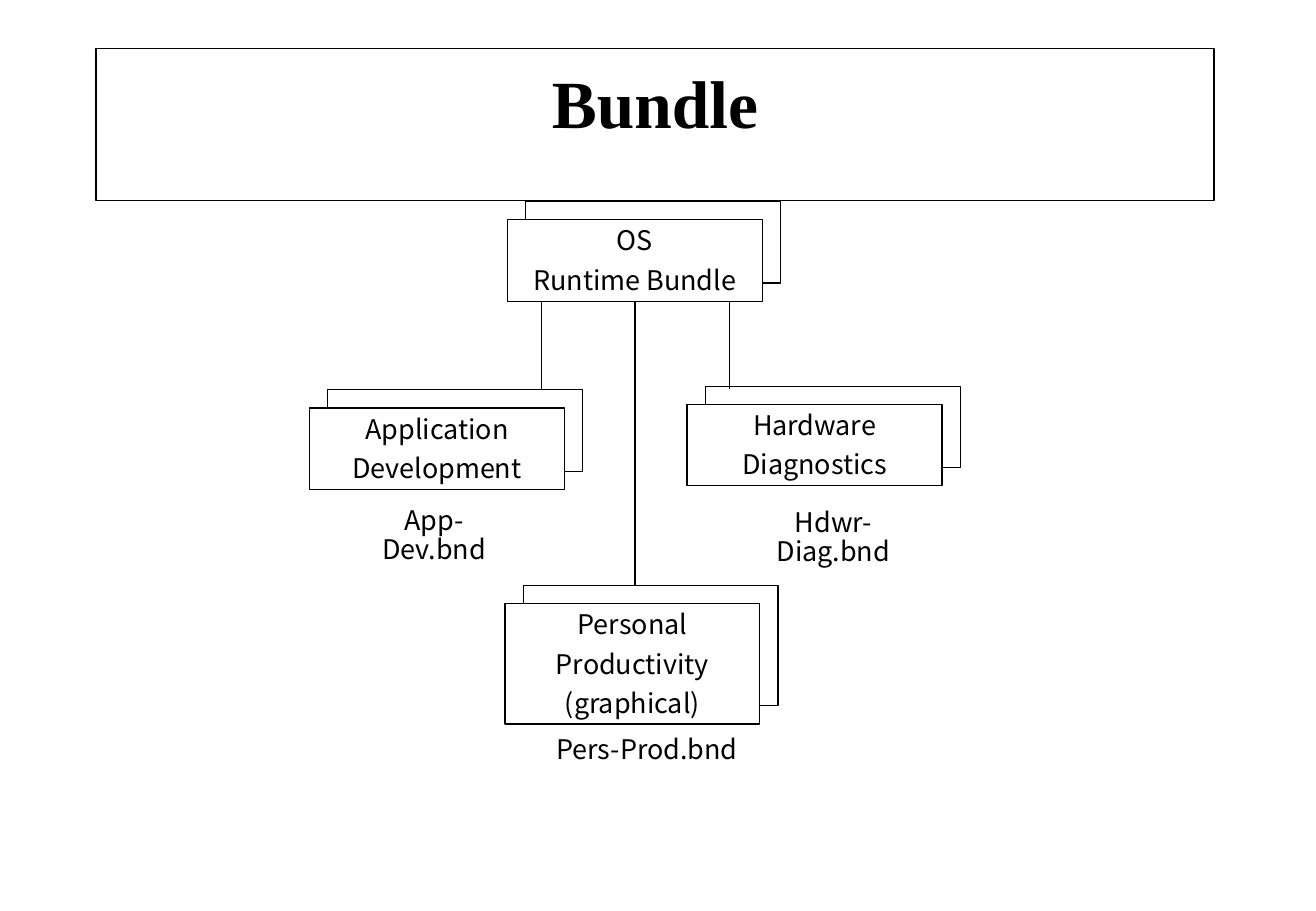
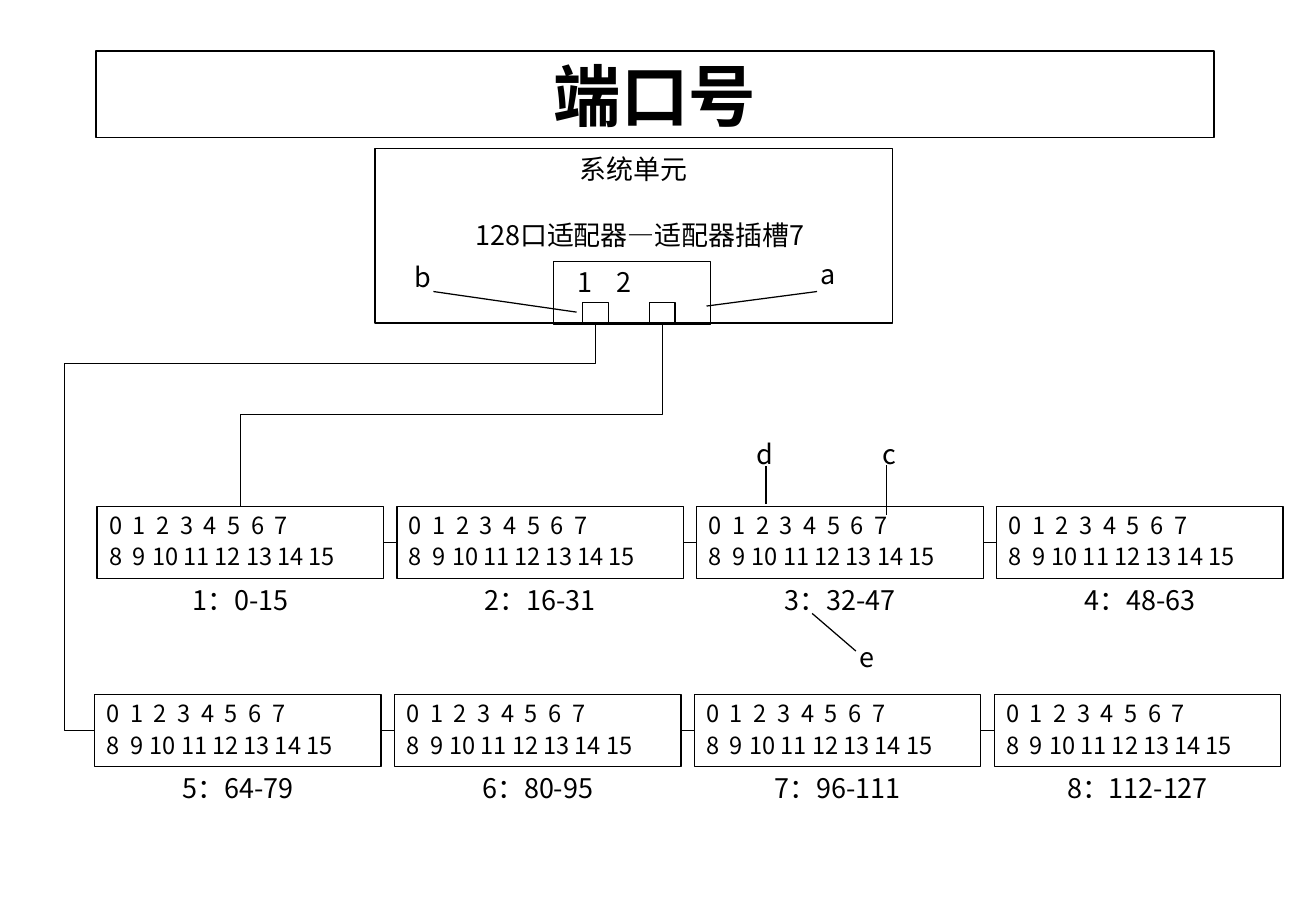
from dataclasses import dataclass

from lxml import etree
from pptx import Presentation
from pptx import util as u
from pptx.dml.color import RGBColor
from pptx.enum import shapes, text
from pptx.oxml.ns import qn


@dataclass(frozen=True)
class Theme:
    ink: RGBColor = RGBColor(0, 0, 0)
    paper: RGBColor = RGBColor(255, 255, 255)
    body_font: str = "Noto Sans CJK SC"
    title_font: str = "Times New Roman"
    title_size: int = 40
    body_size: int = 16
    port_size: int = 14
    leading: float = 1.08
    line: float = 0.75


THEME = Theme()
CENTER = text.PP_ALIGN.CENTER
LEFT = text.PP_ALIGN.LEFT
PORT_ROWS = (
    ("\t".join(str(port) for port in range(8)),
     [0.195 * n for n in range(1, 8)]),
    ("\t".join(str(port) for port in range(8, 16)),
     [0.195] + [0.355 + 0.258 * n for n in range(6)]),
)


def inches(*lengths):
    return [u.Inches(round(length, 3)) for length in lengths]


def add_run(paragraph, words, size, font, bold=False):
    run = paragraph.add_run()
    run.text = words
    run.font.size = u.Pt(size)
    run.font.bold = bold
    run.font.name = font
    run.font.color.rgb = THEME.ink
    east_asian = etree.SubElement(run.font._element, qn("a:ea"))
    east_asian.set("typeface", THEME.body_font)


def set_tabs(paragraph, stops):
    tab_list = etree.SubElement(paragraph._p.get_or_add_pPr(), qn("a:tabLst"))
    for stop in stops:
        etree.SubElement(tab_list, qn("a:tab"), pos=str(u.Inches(stop)), algn="l")


def write(shape, lines, size=THEME.body_size, align=CENTER, gap=6, inset=0.1):
    frame = shape.text_frame
    frame.word_wrap = True
    frame.vertical_anchor = text.MSO_ANCHOR.TOP
    frame.margin_left, frame.margin_top = inches(inset, 0.06)
    for index, (words, stops) in enumerate(lines):
        paragraph = frame.add_paragraph() if index else frame.paragraphs[0]
        if stops:
            set_tabs(paragraph, stops)
        paragraph.alignment = align
        paragraph.line_spacing = u.Pt(round(size * THEME.leading, 1))
        if index:
            paragraph.space_before = u.Pt(gap)
        add_run(paragraph, words, size, THEME.body_font)


def add_box(slide, box, filled=False):
    shape = slide.shapes.add_shape(shapes.MSO_SHAPE.RECTANGLE, *inches(*box))
    shape.shadow.inherit = False
    if filled:
        shape.fill.solid()
        shape.fill.fore_color.rgb = THEME.paper
    else:
        shape.fill.background()
    shape.line.color.rgb = THEME.ink
    shape.line.width = u.Pt(THEME.line)
    return shape


def add_label(slide, box, words):
    label = slide.shapes.add_textbox(*inches(*box))
    write(label, [(words, None)])


def add_line(slide, start, end, kind=shapes.MSO_CONNECTOR.STRAIGHT):
    line = slide.shapes.add_connector(kind, *inches(*start, *end))
    line.line.color.rgb = THEME.ink
    line.line.width = u.Pt(THEME.line)
    etree.SubElement(line._element.spPr, qn("a:effectLst"))
    return line


def add_cable(slide, socket, unit, side, preset, bends):
    cable = add_line(slide, (0, 0), (1, 1), shapes.MSO_CONNECTOR.ELBOW)
    cable.begin_connect(socket, 2)
    cable.end_connect(unit, side)
    drop, reach = cable.height, cable.width
    middle_x = cable.left + reach // 2
    middle_y = cable.top + drop // 2
    cable.left, cable.top = middle_x - drop // 2, middle_y - reach // 2
    cable.width, cable.height = drop, reach
    frame = cable._element.spPr.find(qn("a:xfrm"))
    for flip in ("flipH", "flipV"):
        frame.attrib.pop(flip, None)
    frame.set("rot", "5400000")
    geometry = cable._element.spPr.find(qn("a:prstGeom"))
    geometry.set("prst", preset)
    guides = geometry.find(qn("a:avLst"))
    for number, bend in enumerate(bends, 1):
        etree.SubElement(guides, qn("a:gd"), name=f"adj{number}",
                         fmla=f"val {round(bend * 100000)}")


def add_title(slide, words, top, height, bottom_inset=0.05):
    band = add_box(slide, (0.79, top, 9.21, height), filled=True)
    frame = band.text_frame
    frame.word_wrap = True
    frame.vertical_anchor = text.MSO_ANCHOR.MIDDLE
    frame.margin_bottom = u.Inches(bottom_inset)
    frame.paragraphs[0].alignment = CENTER
    add_run(frame.paragraphs[0], words, THEME.title_size, THEME.title_font, True)


def add_bundle(slide, left, top, height, lines):
    offset, width = 0.15, 2.1
    add_box(slide, (left + offset, top - offset, width, height), filled=True)
    front = add_box(slide, (left, top, width, height), filled=True)
    write(front, [(line, None) for line in lines])


def build_bundle_slide(slide):
    add_title(slide, "Bundle", 0.4, 1.25, bottom_inset=0.43)
    for left, top, height, lines in (
        (4.18, 1.81, 0.67, ("OS", "Runtime Bundle")),
        (5.66, 3.33, 0.67, ("Hardware", "Diagnostics")),
        (2.55, 3.36, 0.67, ("Application", "Development")),
        (4.16, 4.97, 0.99, ("Personal", "Productivity", "(graphical)")),
    ):
        add_bundle(slide, left, top, height, lines)
    for box, file_name in (
        ((2.86, 4.11, 1.43, 0.58), "App-Dev.bnd"),
        ((6.15, 4.13, 1.43, 0.58), "Hdwr-Diag.bnd"),
        ((4.28, 6, 2.1, 0.34), "Pers-Prod.bnd"),
    ):
        add_label(slide, box, file_name)
    for x, bottom in ((4.46, 3.21), (5.23, 4.82), (6.01, 3.2)):
        add_line(slide, (x, 2.49), (x, bottom))


def add_system_unit(slide, left, top):
    system = add_box(slide, (left, top, 4.26, 1.44))
    write(system, [("系统单元", None)])
    add_label(slide, (left + 0.55, top + 0.55, 3.26, 0.34),
              "128口适配器—适配器插槽7")
    adapter = add_box(slide, (left + 1.47, top + 0.93, 1.29, 0.52))
    write(adapter, [("1\t2", [0.32])], align=LEFT, inset=0.2)
    return [add_box(slide, (left + x, top + 1.27, 0.21, 0.17))
            for x in (1.71, 2.26)]


def add_port_row(slide, left, top, first_unit):
    width, height, pitch = 2.36, 0.59, 2.47
    units = []
    for column in range(4):
        x = left + column * pitch
        unit = add_box(slide, (x, top, width, height))
        write(unit, PORT_ROWS, THEME.port_size, LEFT, gap=3.5)
        units.append(unit)
        number = first_unit + column
        first_port = (number - 1) * 16
        add_label(slide, (x + 0.36, top + 0.6, 1.64, 0.28),
                  f"{number}：{first_port}-{first_port + 15}")
        if column:
            middle = top + height / 2
            add_line(slide, (x - pitch + width, middle), (x, middle))
    return units


def add_callouts(slide):
    for letter, left, top, start, end in (
        ("a", 6.66, 2.09, (6.73, 2.4), (5.82, 2.52)),
        ("b", 3.32, 2.11, (4.75, 2.57), (3.57, 2.4)),
        ("c", 7.16, 3.57, (7.3, 4.24), (7.3, 3.83)),
        ("d", 6.13, 3.57, (6.31, 4.15), (6.31, 3.84)),
        ("e", 6.98, 5.24, (7.05, 5.36), (6.69, 5.05)),
    ):
        add_label(slide, (left, top, 0.33, 0.28), letter)
        add_line(slide, start, end)


def build_port_slide(slide):
    add_title(slide, "端口号", 0.42, 0.71)
    first_socket, second_socket = add_system_unit(slide, 3.09, 1.22)
    upper_units = add_port_row(slide, 0.8, 4.17, 1)
    lower_units = add_port_row(slide, 0.78, 5.72, 5)
    add_cable(slide, second_socket, upper_units[0], 0, "bentConnector3", [0.5])
    add_cable(slide, first_socket, lower_units[0], 1, "bentConnector4", [0.1, 1.06])
    add_callouts(slide)


def main():
    deck = Presentation()
    deck.slide_width, deck.slide_height = inches(10.84, 7.5)
    for build in (build_bundle_slide, build_port_slide):
        build(deck.slides.add_slide(deck.slide_layouts[6]))
    deck.save("out.pptx")


if __name__ == "__main__":
    main()
